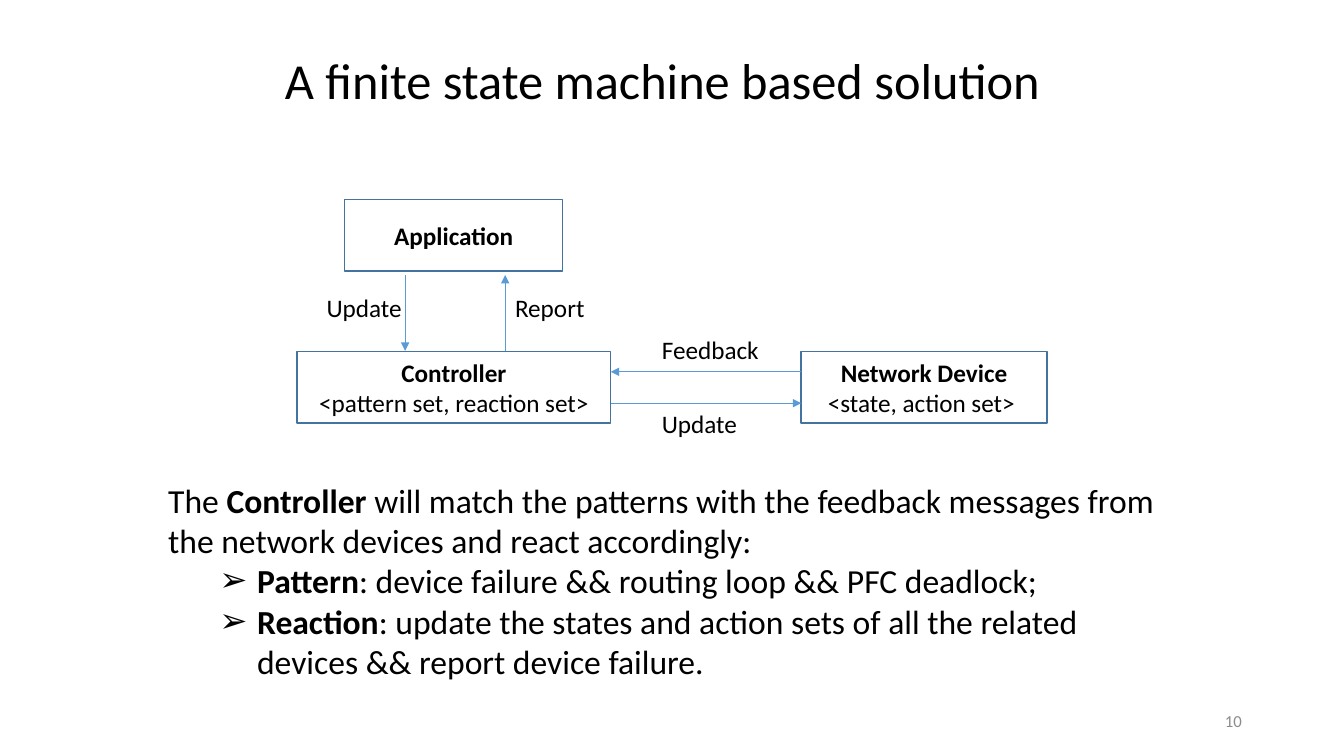
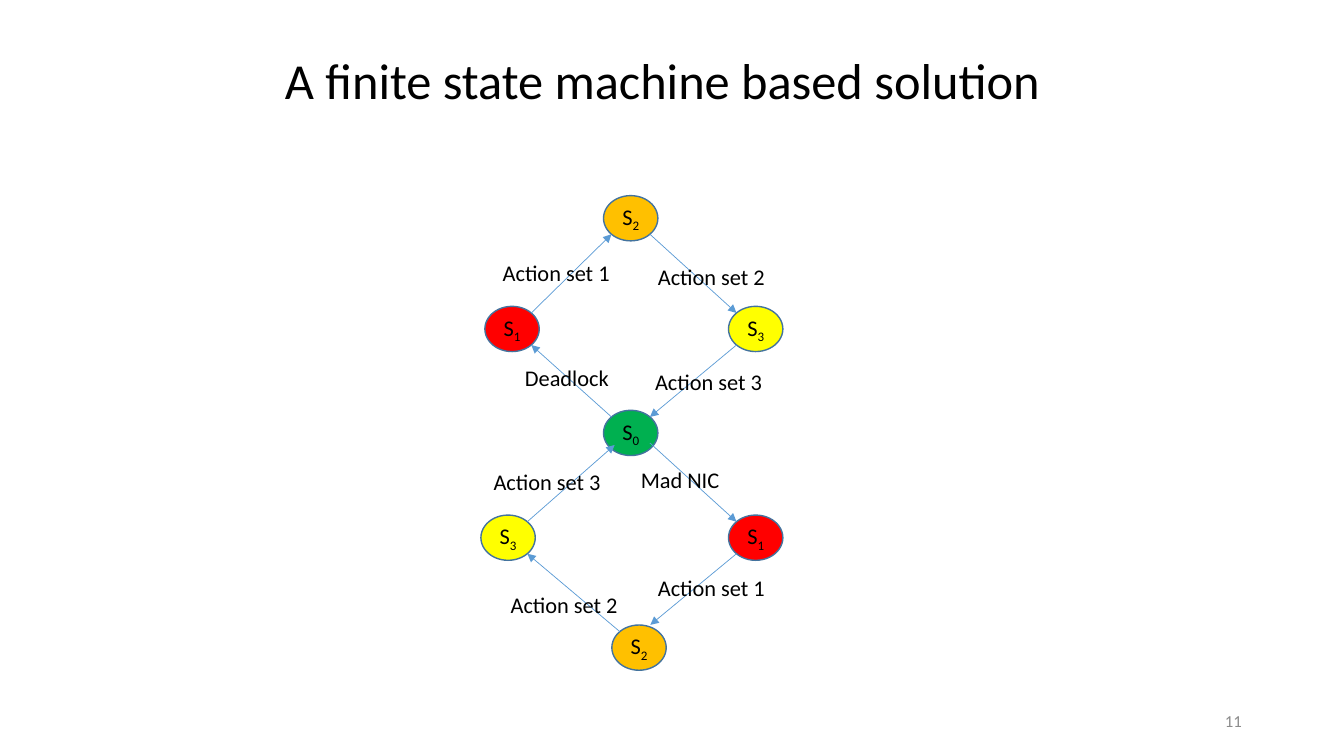
"""Build two slides about a finite state machine based solution."""
from math import sqrt

from pptx import Presentation
from pptx.dml.color import RGBColor
from pptx.enum.shapes import MSO_CONNECTOR, MSO_SHAPE
from pptx.enum.text import MSO_ANCHOR, MSO_AUTO_SIZE, PP_ALIGN
from pptx.oxml.ns import qn
from pptx.util import Cm, Pt
from lxml import etree

RECTANGLE, OVAL = MSO_SHAPE.RECTANGLE, MSO_SHAPE.OVAL
STRAIGHT = MSO_CONNECTOR.STRAIGHT
TOP, MIDDLE = MSO_ANCHOR.TOP, MSO_ANCHOR.MIDDLE
LEFT, CENTER, RIGHT = PP_ALIGN.LEFT, PP_ALIGN.CENTER, PP_ALIGN.RIGHT
GROW = MSO_AUTO_SIZE.SHAPE_TO_FIT_TEXT

COLORS = {
    "text": "000000", "number": "8C8C8C", "outline": "43739E", "arrow": "5B9BD5",
    "S0": "00B050", "S1": "FF0000", "S2": "FFC000", "S3": "FFFF00",
}
FONT = "Calibri"
TITLE = "A finite state machine based solution"
BOLD = {"bold": True}
STATE_WIDTH, STATE_HEIGHT = 1.37, 1.14
LABEL_HEIGHT = 1.02
ACTION_WIDTH = 3.4

BODY = [
    [("The ", {}), ("Controller", BOLD),
     (" will match the patterns with the feedback messages from "
      "the network devices and react accordingly:", {})],
    [("Pattern", BOLD), (": device failure && routing loop && PFC deadlock;", {})],
    [("Reaction", BOLD),
     (": update the states and action sets of all the related "
      "devices && report device failure.", {})],
]

STATES = {
    "center": ("0", 15.21, 10.34),
    "upper left": ("1", 12.22, 7.72),
    "top": ("2", 15.21, 4.93),
    "upper right": ("3", 18.36, 7.72),
    "lower right": ("1", 18.36, 12.98),
    "bottom": ("2", 15.42, 15.75),
    "lower left": ("3", 12.12, 12.98),
}
NW, NE, SW, SE = (-1, -1), (1, -1), (-1, 1), (1, 1)
NO_SHIFT = (0, 0)
TRANSITIONS = [
    ("center", NW, NO_SHIFT, "upper left", SE, NO_SHIFT),
    ("upper left", NE, NO_SHIFT, "top", SW, NO_SHIFT),
    ("top", SE, NO_SHIFT, "upper right", NW, NO_SHIFT),
    ("upper right", SW, NO_SHIFT, "center", NE, NO_SHIFT),
    ("center", SE, (0, -0.15), "lower right", NW, NO_SHIFT),
    ("lower right", SW, NO_SHIFT, "bottom", NE, (-0.2, -0.17)),
    ("bottom", NW, NO_SHIFT, "lower left", SE, NO_SHIFT),
    ("lower left", NE, NO_SHIFT, "center", SW, (0.08, -0.1)),
]
TRANSITION_LABELS = [
    ("Mad NIC", 15.9, 11.63, 3.15),
    ("Action set 1", 16.33, 14.35, ACTION_WIDTH),
    ("Action set 2", 16.33, 6.5, ACTION_WIDTH),
    ("Action set 3", 12.19, 11.68, ACTION_WIDTH),
    ("Deadlock", 12.98, 9.04, 2.84),
    ("Action set 1", 12.42, 6.4, ACTION_WIDTH),
    ("Action set 2", 12.62, 14.78, ACTION_WIDTH),
    ("Action set 3", 16.26, 9.14, ACTION_WIDTH),
]

BOXES = [
    ("Controller", "<pattern set, reaction set>", 7.49, 8.86, 7.9),
    ("Network Device", "<state, action set> ", 20.19, 8.86, 6.2),
    ("Application", "", 8.69, 5.03, 5.49),
]
MESSAGES = [
    (20.19, 9.37, 15.39, 9.37),
    (15.39, 10.16, 20.19, 10.16),
    (10.21, 6.93, 10.21, 8.84),
    (12.73, 8.84, 12.73, 6.93),
]
MESSAGE_LABELS = [
    ("Feedback", 16.43, 8.31, 3.51),
    ("Update", 16.43, 10.16, 2.44),
    ("Update", 7.98, 7.24, 2.67),
    ("Report", 12.73, 7.24, 2.67),
]


def color(name):
    return RGBColor.from_string(COLORS[name])


def write_paragraph(para, spans, size, align=LEFT, ink="text"):
    para.alignment = align
    for text, format_values in spans:
        span = para.add_run()
        span.text = text
        values = {"name": FONT, "size": Pt(size), "bold": False, **format_values}
        for attribute, value in values.items():
            setattr(span.font, attribute, value)
        span.font.color.rgb = color(ink)


def write_text(frame, paragraphs, size, align=LEFT, anchor=TOP, ink="text"):
    frame.word_wrap = True
    frame.vertical_anchor = anchor
    for index, spans in enumerate(paragraphs):
        para = frame.add_paragraph() if index else frame.paragraphs[0]
        write_paragraph(para, spans, size, align, ink)


def add_text(page, paragraphs, left, top, width, height, size, **layout):
    box = page.shapes.add_textbox(Cm(left), Cm(top), Cm(width), Cm(height))
    write_text(box.text_frame, paragraphs, size, **layout)
    return box


def add_label(page, text, left, top, width, size):
    box = add_text(page, [[(text, {})]], left, top, width, LABEL_HEIGHT, size)
    box.text_frame.auto_size = GROW


def add_bullet(para):
    para.level = 1
    properties = para._p.get_or_add_pPr()
    properties.set("marL", str(Cm(2.24)))
    properties.set("indent", str(Cm(-0.95)))
    etree.SubElement(properties, qn("a:buFont"), typeface="Arial")
    etree.SubElement(properties, qn("a:buChar"), char="➢")


def add_outlined(page, kind, left, top, width, height, fill=None):
    shape = page.shapes.add_shape(kind, Cm(left), Cm(top), Cm(width), Cm(height))
    shape.shadow.inherit = False
    if fill:
        shape.fill.solid()
        shape.fill.fore_color.rgb = color(fill)
    else:
        shape.fill.background()
    shape.line.color.rgb = color("outline")
    shape.line.width = Pt(1)
    return shape


def add_box(page, name, detail, left, top, width):
    box = add_outlined(page, RECTANGLE, left, top, width, 1.8)
    paragraphs = [[(name, BOLD)]]
    if detail:
        paragraphs.append([(detail, {})])
    write_text(box.text_frame, paragraphs, 18, CENTER, MIDDLE)


def add_state(page, number, left, top):
    oval = add_outlined(page, OVAL, left, top, STATE_WIDTH, STATE_HEIGHT, "S" + number)
    frame = oval.text_frame
    for side in ("left", "right", "top", "bottom"):
        setattr(frame, "margin_" + side, 0)
    write_text(frame, [[("S", {}), (number, {})]], 16, CENTER, MIDDLE)
    subscript = frame.paragraphs[0].runs[1]
    subscript._r.get_or_add_rPr().set("baseline", "-25000")


def add_arrow(page, *ends):
    arrow = page.shapes.add_connector(STRAIGHT, *(Cm(value) for value in ends))
    arrow.line.color.rgb = color("arrow")
    arrow.line.width = Pt(0.5)
    etree.SubElement(arrow.line._get_or_add_ln(), qn("a:tailEnd"), type="triangle")
    etree.SubElement(arrow._element.spPr, qn("a:effectLst"))


def state_edge(state, direction, shift):
    _, left, top = STATES[state]
    across, down = direction
    return (left + STATE_WIDTH / 2 * (1 + across / sqrt(2)) + shift[0],
            top + STATE_HEIGHT / 2 * (1 + down / sqrt(2)) + shift[1])


def add_page(deck, number):
    page = deck.slides.add_slide(deck.slide_layouts[6])
    add_text(page, [[(TITLE, {})]], 6.93, 1.12, 20.02, 1.8, 36)
    add_text(page, [[(str(number), {})]], 23.93, 17.65, 7.62, 1.02, 12,
             align=RIGHT, anchor=MIDDLE, ink="number")
    return page


def build_architecture(deck):
    page = add_page(deck, 10)
    for box in BOXES:
        add_box(page, *box)
    for message in MESSAGES:
        add_arrow(page, *message)
    for label in MESSAGE_LABELS:
        add_label(page, *label, 18)
    body = add_text(page, BODY, 3.99, 11.96, 25.88, 5.38, 24)
    for para in body.text_frame.paragraphs[1:]:
        add_bullet(para)


def build_state_machine(deck):
    page = add_page(deck, 11)
    for state in STATES.values():
        add_state(page, *state)
    for transition in TRANSITIONS:
        add_arrow(page, *state_edge(*transition[:3]), *state_edge(*transition[3:]))
    for label in TRANSITION_LABELS:
        add_label(page, *label, 16)


def main():
    deck = Presentation()
    deck.slide_width, deck.slide_height = Cm(33.87), Cm(19.05)
    build_architecture(deck)
    build_state_machine(deck)
    deck.save("out.pptx")


if __name__ == "__main__":
    main()
